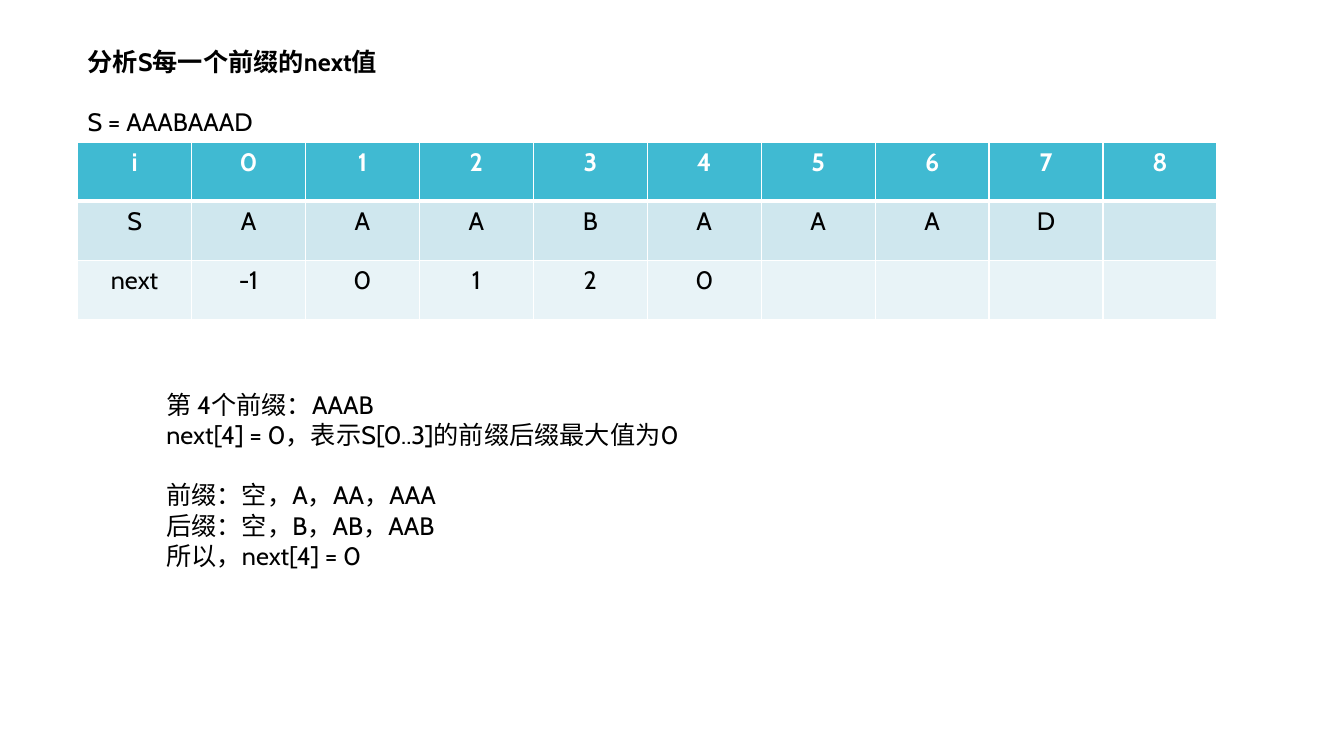
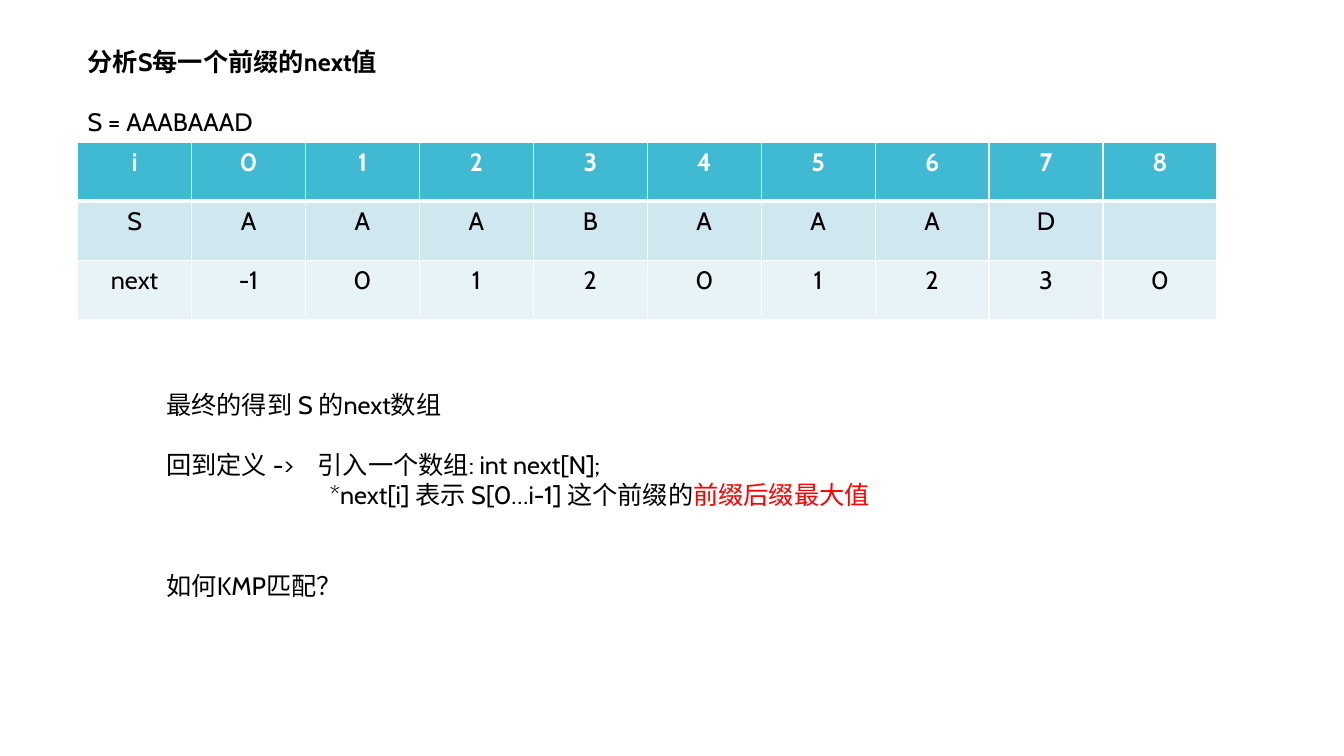
from dataclasses import dataclass

from lxml.etree import SubElement
from pptx import Presentation
from pptx.dml.color import RGBColor
from pptx.enum.text import MSO_ANCHOR as Anchor, MSO_AUTO_SIZE as AutoSize, PP_ALIGN as Align
from pptx.oxml.ns import qn
from pptx.util import Inches, Pt


@dataclass(frozen=True)
class Theme:
    font: str = "Cabin"
    size: int = 18
    line_height: float = 21.6
    text: str = "000000"
    white: str = "FFFFFF"
    highlight: str = "FF0000"
    row_fills: tuple = ("40BAD2", "CFE7EE", "E8F3F7")
    thin_border: int = 1
    thick_border: int = 3


@dataclass(frozen=True)
class Line:
    text: str
    blank_before: int = 0
    indent: float = 0
    tab: float = 0
    highlight: str = ""


class Deck:
    """Builds slides on prefix tables in one shared style."""

    def __init__(self, theme):
        self.theme = theme
        self.presentation = Presentation()
        self.presentation.slide_width = Inches(13.33)
        self.presentation.slide_height = Inches(7.5)
        self.slide = None

    def add_slide(self):
        layout = self.presentation.slide_layouts[1]
        self.slide = self.presentation.slides.add_slide(layout)

    def format_run(self, run, color, bold=False):
        run.font.name = self.theme.font
        run.font.size = Pt(self.theme.size)
        run.font.bold = bold
        run.font.color.rgb = RGBColor.from_string(color)

    def place(self, shape, left, top, width, height):
        shape.left, shape.top = Inches(left), Inches(top)
        shape.width, shape.height = Inches(width), Inches(height)
        text_frame = shape.text_frame
        text_frame.word_wrap = True
        text_frame.auto_size = AutoSize.NONE
        text_frame.vertical_anchor = Anchor.TOP

    def fill_paragraph(self, paragraph, line, bold=False):
        paragraph.text = line.text
        paragraph.alignment = Align.LEFT
        paragraph.line_spacing = 1.0
        paragraph.space_before = Pt(line.blank_before * self.theme.line_height)
        paragraph.space_after = Pt(0)
        for run in paragraph.runs:
            self.format_run(run, self.theme.text, bold)
        if line.highlight:
            run = paragraph.add_run()
            run.text = line.highlight
            self.format_run(run, self.theme.highlight, bold)
        properties = paragraph._p.get_or_add_pPr()
        properties.set("marL", str(Inches(line.indent)))
        properties.set("indent", "0")
        SubElement(properties, qn("a:buNone"))
        if line.tab:
            tabs = SubElement(properties, qn("a:tabLst"))
            SubElement(tabs, qn("a:tab"), pos=str(Inches(line.tab)), algn="l")

    def add_title(self, text):
        title = self.slide.shapes.title
        self.place(title, 0.77, 0.41, 4.39, 0.4)
        self.fill_paragraph(title.text_frame.paragraphs[0], Line(text), bold=True)

    def add_caption(self, text):
        caption = self.slide.shapes.add_textbox(0, 0, 0, 0)
        self.place(caption, 0.77, 1.01, 4.39, 0.4)
        self.fill_paragraph(caption.text_frame.paragraphs[0], Line(text))

    def add_body(self, lines, width, height):
        body = self.slide.placeholders[1]
        self.place(body, 1.55, 3.81, width, height)
        text_frame = body.text_frame
        for index, line in enumerate(lines):
            paragraph = text_frame.add_paragraph() if index else text_frame.paragraphs[0]
            self.fill_paragraph(paragraph, line)

    def add_border(self, cell, side, width):
        border = SubElement(cell._tc.get_or_add_tcPr(), qn(f"a:ln{side}"), w=str(Pt(width)))
        fill = SubElement(border, qn("a:solidFill"))
        SubElement(fill, qn("a:srgbClr"), val=self.theme.white)

    def format_cell(self, cell, row, text):
        header = row == 0
        thick_side = {0: "B", 1: "T"}.get(row)
        for side in "LRTB":
            thick = side == thick_side
            self.add_border(cell, side, self.theme.thick_border if thick else self.theme.thin_border)
        cell.fill.solid()
        cell.fill.fore_color.rgb = RGBColor.from_string(self.theme.row_fills[row])
        cell.text_frame.text = text
        paragraph = cell.text_frame.paragraphs[0]
        paragraph.alignment = Align.CENTER
        for run in paragraph.runs:
            self.format_run(run, self.theme.white if header else self.theme.text, header)

    def add_table(self, rows):
        column_count = len(rows[0])
        frame = self.slide.shapes.add_table(
            len(rows), column_count, Inches(0.77), Inches(1.41), Inches(11.3), Inches(1.76))
        table = frame.table
        table.horz_banding = False
        for column in table.columns:
            column.width = Inches(1.13)
        for row, values in enumerate(rows):
            for column in range(column_count):
                text = values[column] if column < len(values) else ""
                self.format_cell(table.cell(row, column), row, text)

    def add_prefix_slide(self, word, next_values, lines, width, height):
        self.add_slide()
        self.add_title("分析S每一个前缀的next值")
        self.add_caption(f"S = {word}")
        self.add_table([
            ["i", *map(str, range(len(word) + 1))],
            ["S", *word],
            ["next", *map(str, next_values)],
        ])
        self.add_body(lines, width, height)


def main():
    deck = Deck(Theme())
    word = "AAABAAAD"
    next_values = [-1, 0, 1, 2, 0, 1, 2, 3, 0]
    deck.add_prefix_slide(word, next_values[:5], [
        Line("第 4个前缀：AAAB"),
        Line("next[4] = 0，表示S[0..3]的前缀后缀最大值为0"),
        Line("前缀：空，A，AA，AAA", blank_before=1),
        Line("后缀：空，B，AB，AAB"),
        Line("所以，next[4] = 0"),
    ], 6.12, 1.92)
    deck.add_prefix_slide(word, next_values, [
        Line("最终的得到 S 的next数组"),
        Line("回到定义 ->\t引入一个数组: int next[N];", blank_before=1, tab=1.77),
        Line("*next[i] 表示 S[0…i-1] 这个前缀的", indent=1.62, highlight="前缀后缀最大值"),
        Line("如何KMP匹配？", blank_before=2),
    ], 9.91, 2.22)
    deck.presentation.save("out.pptx")


if __name__ == "__main__":
    main()
